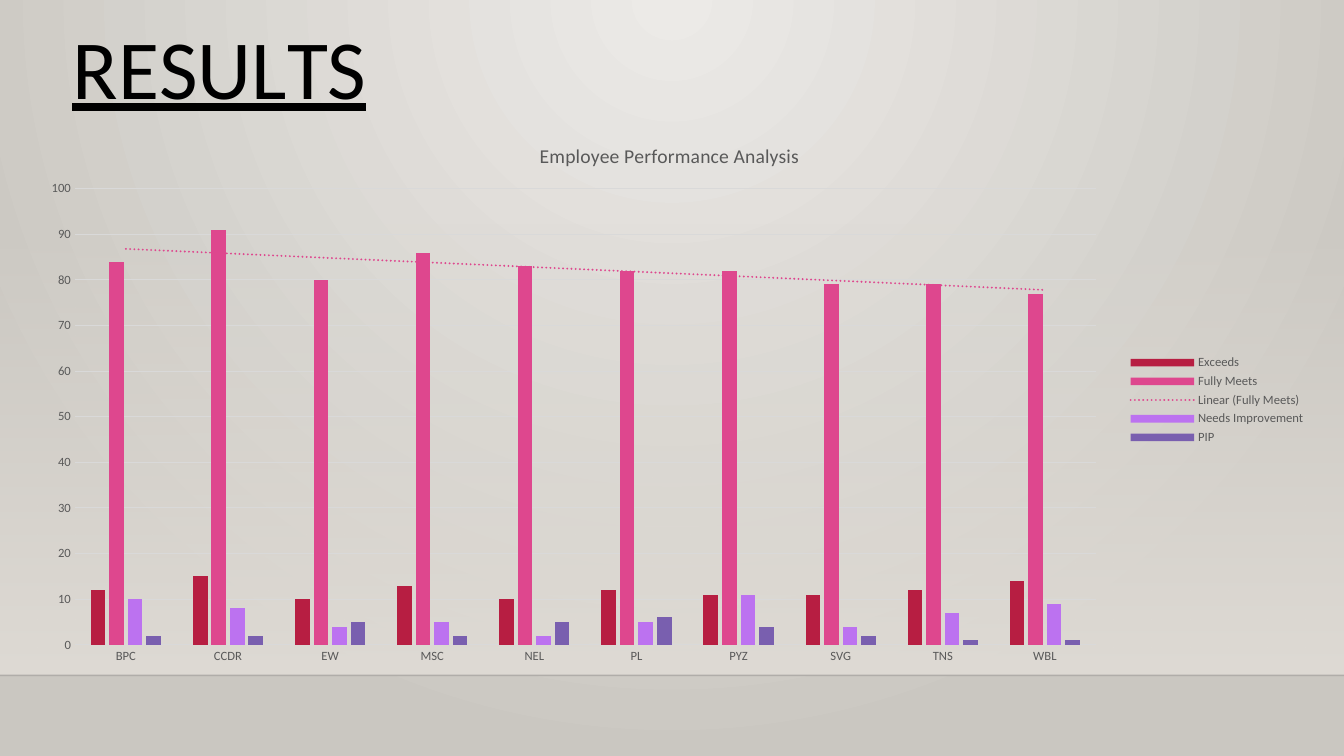
from pptx import Presentation
from pptx.chart.data import CategoryChartData
from pptx.dml.color import RGBColor
from pptx.enum.chart import XL_CHART_TYPE, XL_LEGEND_POSITION, XL_TICK_MARK
from pptx.enum.shapes import MSO_CONNECTOR, MSO_SHAPE
from pptx.enum.text import MSO_ANCHOR, MSO_AUTO_SIZE, PP_ALIGN
from pptx.oxml import parse_xml
from pptx.oxml.ns import nsdecls, qn
from pptx.util import Inches, Pt

FONT = "Calibri"
GREY, GRID = "595959", "D9D9D9"
DEPARTMENTS = ["BPC", "CCDR", "EW", "MSC", "NEL", "PL", "PYZ", "SVG", "TNS", "WBL"]
RATINGS = [
    ("Exceeds", "B71E42", [12, 15, 10, 13, 10, 12, 11, 11, 12, 14]),
    ("Fully Meets", "DE478E", [84, 91, 80, 86, 83, 82, 82, 79, 79, 77]),
    ("Needs Improvement", "BC72F0", [10, 8, 4, 5, 2, 5, 11, 4, 7, 9]),
    ("PIP", "795FAF", [2, 2, 5, 2, 5, 6, 4, 2, 1, 1]),
]


def rgb(color):
    return RGBColor.from_string(color)


def style_font(font, size, color=GREY, underline=None, bold=False):
    font.name, font.size, font.bold = FONT, Pt(size), bold
    font.color.rgb = rgb(color)
    font.underline = underline


def add_run(paragraph, text, spacing=None, **style):
    """Append a run; spacing is the letter spacing in points."""
    run = paragraph.add_run()
    run.text = text
    style_font(run.font, **style)
    if spacing is not None:
        run.font._element.set("spc", str(round(spacing * 100)))


def set_gradient(fill, *colors):
    fill.gradient()
    for stop, color in zip(fill.gradient_stops, colors):
        stop.color.rgb = rgb(color)


def set_alpha(color_element, percent):
    color_element.append(
        parse_xml(f'<a:alpha {nsdecls("a")} val="{percent * 1000}"/>'))


def paint_background(slide):
    """Radial gradient that spreads from the middle of the top edge."""
    set_gradient(slide.background.fill, "ECEAE7", "CAC7C1")
    gradient = next(slide.element.iter(qn("a:gradFill")))
    gradient.replace(gradient.find(qn("a:lin")), parse_xml(
        f'<a:path {nsdecls("a")} path="circle">'
        '<a:fillToRect l="43000" t="0" r="43000" b="100000"/></a:path>'))


def add_floor(slide, left, top, width, height):
    """Wall band that fades in downwards, with a thin line along its foot."""
    wall = slide.shapes.add_shape(MSO_SHAPE.RECTANGLE, left, top, width, height)
    wall.shadow.inherit = False
    wall.line.fill.background()
    set_gradient(wall.fill, "DFDBD5", "DFDBD5")
    wall.fill.gradient_angle = 270
    set_alpha(next(wall._element.iter(qn("a:srgbClr"))), 0)

    foot = top + height
    edge = slide.shapes.add_connector(
        MSO_CONNECTOR.STRAIGHT, left, foot, left + width, foot)
    edge.line.color.rgb = rgb("000001")
    edge.line.width = Pt(1)
    set_alpha(next(edge._element.iter(qn("a:srgbClr"))), 20)
    edge._element.spPr.append(parse_xml(f'<a:effectLst {nsdecls("a")}/>'))


def place_title(slide, left, top, width, height):
    title = slide.shapes.title
    title.left, title.top, title.width, title.height = left, top, width, height
    frame = title.text_frame
    frame.word_wrap = True
    frame.auto_size = MSO_AUTO_SIZE.SHAPE_TO_FIT_TEXT
    frame.vertical_anchor = MSO_ANCHOR.TOP
    heading = frame.paragraphs[0]
    heading.alignment = PP_ALIGN.CENTER
    kerned = [("R", None), ("E", -0.4), ("S", 0.1), ("U", -0.3), ("L", -4), ("TS", 0)]
    for letters, spacing in kerned:
        add_run(heading, letters, spacing, size=60, color="000000", underline=True)


def set_plot_area(chart, **fractions):
    parts = "".join(f'<c:{key} val="{value}"/>' for key, value in fractions.items())
    chart._chartSpace.chart.plotArea.insert(0, parse_xml(
        f'<c:layout {nsdecls("c")}><c:manualLayout><c:layoutTarget val="inner"/>'
        f'<c:xMode val="edge"/><c:yMode val="edge"/>{parts}'
        '</c:manualLayout></c:layout>'))


def add_trend_line(series, color):
    series._element.find(qn("c:cat")).addprevious(parse_xml(
        f'<c:trendline {nsdecls("c", "a")}><c:spPr><a:ln w="{Pt(1.5)}" cap="rnd">'
        f'<a:solidFill><a:srgbClr val="{color}"/></a:solidFill>'
        '<a:prstDash val="sysDot"/></a:ln></c:spPr>'
        '<c:trendlineType val="linear"/><c:dispRSqr val="0"/>'
        '<c:dispEq val="0"/></c:trendline>'))


def style_axes(chart):
    departments, scores = chart.category_axis, chart.value_axis
    for axis in (departments, scores):
        axis.major_tick_mark = axis.minor_tick_mark = XL_TICK_MARK.NONE
        style_font(axis.tick_labels.font, 9)
    scores.minimum_scale, scores.maximum_scale, scores.major_unit = 0, 100, 10
    scores.format.line.fill.background()
    for line in (departments.format.line, scores.major_gridlines.format.line):
        line.color.rgb = rgb(GRID)
        line.width = Pt(0.75)


def add_performance_chart(slide, left, top, width, height):
    data = CategoryChartData()
    data.categories = DEPARTMENTS
    for name, _, values in RATINGS:
        data.add_series(name, values)
    chart = slide.shapes.add_chart(
        XL_CHART_TYPE.COLUMN_CLUSTERED, left, top, width, height, data).chart
    style_font(chart.font, 10, "000000")

    chart.has_title = True
    add_run(chart.chart_title.text_frame.paragraphs[0],
            "Employee Performance Analysis", size=14)
    chart.chart_title.include_in_layout = False
    chart.has_legend = True
    chart.legend.position = XL_LEGEND_POSITION.RIGHT
    chart.legend.include_in_layout = False
    style_font(chart.legend.font, 9)

    plot = chart.plots[0]
    plot.vary_by_categories = False
    plot.gap_width, plot.overlap = 219, -27
    for series, (name, color, _) in zip(plot.series, RATINGS):
        series.format.fill.solid()
        series.format.fill.fore_color.rgb = rgb(color)
        if name == "Fully Meets":
            add_trend_line(series, color)
    style_axes(chart)
    set_plot_area(chart, x=0.04, y=0.12, w=0.79, h=0.82)


def main():
    deck = Presentation()
    deck.slide_width, deck.slide_height = Inches(13.33), Inches(7.5)
    slide = deck.slides.add_slide(deck.slide_layouts[5])
    paint_background(slide)
    add_floor(slide, 0, Inches(2.21), deck.slide_width, Inches(4.49))
    place_title(slide, Inches(-1.16), Inches(0.1), Inches(6.67), Inches(1.11))
    add_performance_chart(slide, Inches(0.23), Inches(1.21), Inches(12.82), Inches(5.52))
    # The title stays above the wall band
    slide.shapes._spTree.append(slide.shapes.title._element)
    deck.save("out.pptx")


if __name__ == "__main__":
    main()
